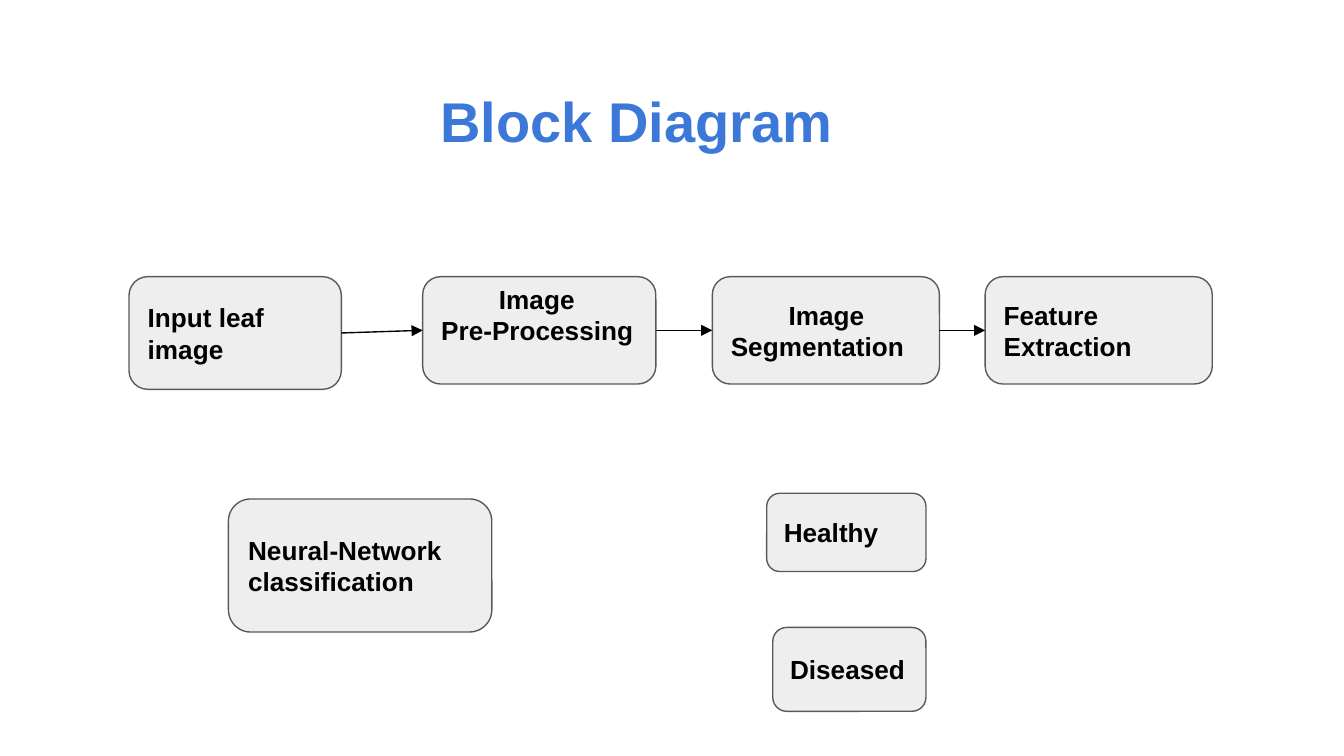
import pptx
import pptx.util
import pptx.dml.color
import pptx.enum.shapes
import pptx.enum.text
import pptx.oxml
import pptx.oxml.ns

RGB = pptx.dml.color.RGBColor.from_string
THEME = {
    "font": "Arial",
    "title": RGB("3C78D8"),
    "text": RGB("000000"),
    "fill": RGB("EEEEEE"),
    "outline": RGB("595959"),
    "title_size": pptx.util.Pt(30),
    "box_size": pptx.util.Pt(14),
    "line_width": pptx.util.Pt(0.75),
}
INSET = pptx.util.Inches(0.1)

presentation = pptx.Presentation()
presentation.slide_width = pptx.util.Inches(10)
presentation.slide_height = presentation.slide_width * 9 // 16
COLUMN = presentation.slide_width / 100
ROW = presentation.slide_height / 100
slide = presentation.slides.add_slide(presentation.slide_layouts[5])


def prepare_frame(shape, anchor):
    frame = shape.text_frame
    frame.word_wrap = True
    frame.auto_size = pptx.enum.text.MSO_AUTO_SIZE.NONE
    frame.vertical_anchor = anchor
    frame.margin_left = frame.margin_right = INSET
    frame.margin_top = frame.margin_bottom = INSET
    return frame


def add_styled_run(paragraph, text, size, color, alignment):
    paragraph.alignment = alignment
    run = paragraph.add_run()
    run.text = text
    run.font.name = THEME["font"]
    run.font.size = size
    run.font.bold = True
    run.font.color.rgb = color


# Title
title = slide.shapes.title
title.left, title.top = int(0.8 * COLUMN), int(-2.6 * ROW)
title.width, title.height = int(93.1 * COLUMN), int(24.7 * ROW)
frame = prepare_frame(title, pptx.enum.text.MSO_ANCHOR.BOTTOM)
add_styled_run(frame.paragraphs[0], "Block Diagram", THEME["title_size"],
               THEME["title"], pptx.enum.text.PP_ALIGN.CENTER)

# Boxes: left column, top row, columns wide, rows high, lines of text
FLOW_TOP, FLOW_HEIGHT = 36.6, 14.2
boxes = [
    (9.6, FLOW_TOP, 15.8, 14.9, ["Input leaf image"]),
    (31.45, FLOW_TOP, 17.35, FLOW_HEIGHT, ["Image", "Pre-Processing"]),
    (53, FLOW_TOP, 16.9, FLOW_HEIGHT, ["Image", "Segmentation"]),
    (73.3, FLOW_TOP, 16.9, FLOW_HEIGHT, ["Feature Extraction"]),
    (17, 66, 19.6, 17.6, ["Neural-Network", "classification"]),
    (57.05, 65.25, 11.85, 10.35, ["Healthy"]),
    (57.5, 83, 11.4, 11.1, ["Diseased"]),
]
shapes = []
for left, top, width, height, lines in boxes:
    shape = slide.shapes.add_shape(
        pptx.enum.shapes.MSO_SHAPE.ROUNDED_RECTANGLE,
        int(left * COLUMN), int(top * ROW), int(width * COLUMN), int(height * ROW))
    shape.shadow.inherit = False
    shape.fill.solid()
    shape.fill.fore_color.rgb = THEME["fill"]
    shape.line.color.rgb = THEME["outline"]
    shape.line.width = THEME["line_width"]
    frame = prepare_frame(shape, pptx.enum.text.MSO_ANCHOR.MIDDLE)
    for index, line in enumerate(lines):
        paragraph = frame.paragraphs[0] if index == 0 else frame.add_paragraph()
        add_styled_run(paragraph, line, THEME["box_size"], THEME["text"],
                       pptx.enum.text.PP_ALIGN.LEFT)
        if line == "Image":
            paragraph._p.get_or_add_pPr().set("marL", str(int(4.3 * COLUMN)))
    shapes.append(shape)

# The pre-processing label sits above the middle of its box
shapes[1].text_frame.margin_top = int(0.4 * ROW)
shapes[1].text_frame.margin_bottom = int(4.5 * ROW)

# Arrows along the flow row, from right side to left side
RIGHT_SITE, LEFT_SITE = 3, 1
flow = shapes[:4]
for source, target in zip(flow, flow[1:]):
    arrow = slide.shapes.add_connector(
        pptx.enum.shapes.MSO_CONNECTOR.STRAIGHT, 0, 0, 0, 0)
    arrow.begin_connect(source, RIGHT_SITE)
    arrow.end_connect(target, LEFT_SITE)
    arrow.line.color.rgb = THEME["text"]
    arrow.line.width = THEME["line_width"]
    head = pptx.oxml.parse_xml(
        f'<a:tailEnd {pptx.oxml.ns.nsdecls("a")} type="triangle"/>')
    arrow.line._get_or_add_ln().append(head)
    arrow._element.spPr.append(
        pptx.oxml.parse_xml(f'<a:effectLst {pptx.oxml.ns.nsdecls("a")}/>'))

presentation.save("out.pptx")
